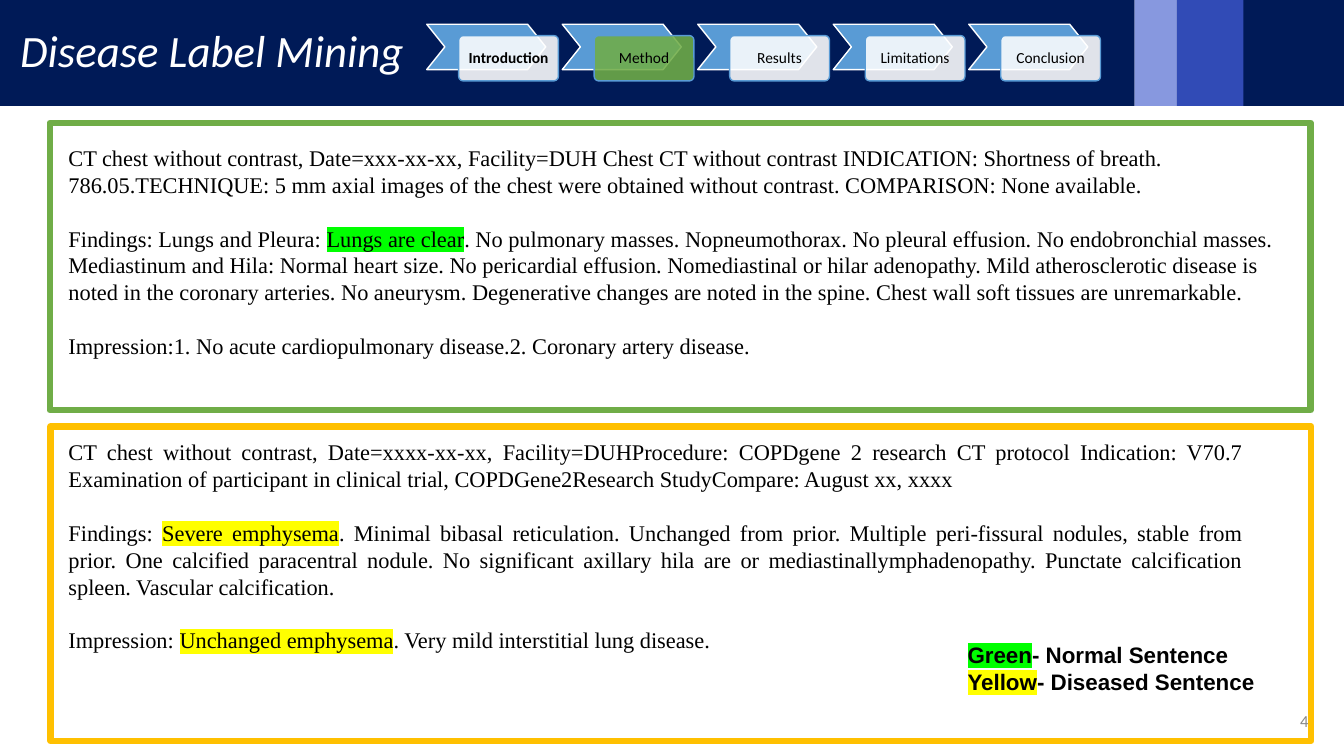
from dataclasses import dataclass
from typing import Optional

from lxml.etree import SubElement
from pptx import Presentation
from pptx.dml.color import RGBColor
from pptx.enum.shapes import MSO_SHAPE
from pptx.enum.text import MSO_ANCHOR, MSO_AUTO_SIZE, PP_ALIGN
from pptx.oxml.ns import qn
from pptx.util import Pt

NAVY = RGBColor(0x00, 0x1A, 0x57)
ROYAL = RGBColor(0x31, 0x4B, 0xB6)
LAVENDER = RGBColor(0x87, 0x98, 0xDF)
SKY = RGBColor(0x59, 0x9B, 0xD5)
LEAF = RGBColor(0x70, 0xAD, 0x47)
AMBER = RGBColor(0xFF, 0xC0, 0x00)
GREEN = RGBColor(0x00, 0xFF, 0x00)
YELLOW = RGBColor(0xFF, 0xFF, 0x00)
WHITE = RGBColor(0xFF, 0xFF, 0xFF)
BLACK = RGBColor(0x00, 0x00, 0x00)
GRAY = RGBColor(0x88, 0x88, 0x88)

BAND_HEIGHT = 75.6
STEP_LEFT, STEP_PITCH = 304.8, 96.8


@dataclass
class Box:
    left: float
    top: float
    width: float
    height: float

    def lengths(self):
        return Pt(self.left), Pt(self.top), Pt(self.width), Pt(self.height)


@dataclass
class Segment:
    text: str
    highlight: Optional[RGBColor] = None


@dataclass
class Style:
    font: str
    size: float
    color: RGBColor = BLACK
    bold: bool = False
    italic: bool = False


@dataclass
class Passage:
    box: Box
    paragraphs: list
    style: Style
    align: PP_ALIGN = PP_ALIGN.LEFT
    gap: float = 0


@dataclass
class Step:
    label: str
    fill: RGBColor = WHITE
    bold: bool = False


@dataclass
class Panel:
    box: Box
    color: RGBColor


REPORT = Style("Times New Roman", 16)
PASSAGES = [
    Passage(Box(725.8, 500.4, 216, 28.8), [[Segment("4")]],
            Style("Calibri", 12, GRAY), PP_ALIGN.RIGHT),
    Passage(Box(41.8, 99.4, 876.2, 181.4), [
        [Segment("CT chest without contrast, Date=xxx-xx-xx, Facility=DUH Chest CT without "
                 "contrast INDICATION: Shortness of breath. 786.05.TECHNIQUE: 5 mm axial images "
                 "of the chest were obtained without contrast. COMPARISON: None available.")],
        [Segment("Findings: Lungs and Pleura: "),
         Segment("Lungs are clear", GREEN),
         Segment(". No pulmonary masses. Nopneumothorax. No pleural effusion. No endobronchial "
                 "masses. Mediastinum and Hila: Normal heart size. No pericardial effusion. "
                 "Nomediastinal or hilar adenopathy. Mild atherosclerotic disease is noted in "
                 "the coronary arteries. No aneurysm. Degenerative changes are noted in the "
                 "spine. Chest wall soft tissues are unremarkable.")],
        [Segment("Impression:1. No acute cardiopulmonary disease.2. Coronary artery disease.")],
    ], REPORT, gap=19.2),
    Passage(Box(41.8, 309.6, 853.2, 162.7), [
        [Segment("CT chest without contrast, Date=xxxx-xx-xx, Facility=DUHProcedure: COPDgene 2 "
                 "research CT protocol Indication: V70.7 Examination of participant in clinical "
                 "trial, COPDGene2Research StudyCompare: August xx, xxxx")],
        [Segment("Findings: "),
         Segment("Severe emphysema", YELLOW),
         Segment(". Minimal bibasal reticulation. Unchanged from prior. Multiple peri-fissural "
                 "nodules, stable from prior. One calcified paracentral nodule. No significant "
                 "axillary hila are or mediastinallymphadenopathy. Punctate calcification "
                 "spleen. Vascular calcification.")],
        [Segment("Impression: "),
         Segment("Unchanged emphysema", YELLOW),
         Segment(". Very mild interstitial lung disease.")],
    ], REPORT, PP_ALIGN.JUSTIFY, 19.2),
    Passage(Box(684, 454.3, 234, 46.1), [
        [Segment("Green", GREEN), Segment("- Normal Sentence")],
        [Segment("Yellow", YELLOW), Segment("- Diseased Sentence")],
    ], Style("Arial", 16, bold=True)),
]
STEPS = [Step("Introduction", bold=True), Step("Method", LEAF), Step("Results"),
         Step("Limitations"), Step("Conclusion")]
BANDS = [Panel(Box(884.9, 0, 75.1, BAND_HEIGHT), NAVY),
         Panel(Box(840.2, 0, 48, BAND_HEIGHT), ROYAL),
         Panel(Box(810.4, 0, 30, BAND_HEIGHT), LAVENDER)]
FRAMES = [Panel(Box(35.5, 87.8, 900.7, 205.2), LEAF),
          Panel(Box(36, 304.6, 900.7, 224.6), AMBER)]


def add_run(paragraph, segment: Segment, style: Style) -> None:
    run = paragraph.add_run()
    run.text = segment.text
    font = run.font
    font.name, font.size = style.font, Pt(style.size)
    font.bold, font.italic = style.bold, style.italic
    font.color.rgb = style.color
    if segment.highlight is not None:
        properties = run._r.get_or_add_rPr()
        highlight = SubElement(properties, qn("a:highlight"))
        SubElement(highlight, qn("a:srgbClr"), val=str(segment.highlight))
        properties.find(qn("a:solidFill")).addnext(highlight)


def add_shape(slide, preset, box: Box, fill=None, line=None, weight: float = 1):
    """Add a shadowless shape; fill or line left as None is not drawn."""
    shape = slide.shapes.add_shape(preset, *box.lengths())
    shape.shadow.inherit = False
    if fill is None:
        shape.fill.background()
    else:
        shape.fill.solid()
        shape.fill.fore_color.rgb = fill
    if line is None:
        shape.line.fill.background()
    else:
        shape.line.color.rgb = line
        shape.line.width = Pt(weight)
    return shape


def format_title(title) -> None:
    title.left, title.top, title.width, title.height = Box(0, -0.5, 810.4, 76.1).lengths()
    title.fill.solid()
    title.fill.fore_color.rgb = NAVY
    frame = title.text_frame
    frame.auto_size = MSO_AUTO_SIZE.NONE
    frame.vertical_anchor = MSO_ANCHOR.MIDDLE
    frame.margin_left = Pt(14.4)
    heading = frame.paragraphs[0]
    heading.alignment = PP_ALIGN.LEFT
    heading.line_spacing = 0.9
    add_run(heading, Segment("Disease Label Mining"), Style("Calibri", 32, WHITE, italic=True))


def add_step(slide, step: Step, left: float) -> None:
    chevron = add_shape(slide, MSO_SHAPE.CHEVRON, Box(left, 17.3, 85, 32.4), SKY, WHITE)
    chevron.adjustments[0] = 0.4
    card = add_shape(slide, MSO_SHAPE.ROUNDED_RECTANGLE, Box(left + 22.8, 25.4, 71.3, 32.4),
                     step.fill, SKY)
    card.adjustments[0] = 0.1
    color = card.fill._xPr.find(qn("a:solidFill"))[0]
    SubElement(color, qn("a:alpha"), val="88000")
    frame = card.text_frame
    frame.word_wrap = True
    frame.vertical_anchor = MSO_ANCHOR.MIDDLE
    frame.margin_left = frame.margin_right = Pt(5)
    label = frame.paragraphs[0]
    label.alignment = PP_ALIGN.CENTER
    label.line_spacing = 0.9
    add_run(label, Segment(step.label), Style("Calibri", 11, bold=step.bold))


def add_passage(slide, passage: Passage) -> None:
    frame = slide.shapes.add_textbox(*passage.box.lengths()).text_frame
    frame.word_wrap = True
    if len(passage.paragraphs) == 1:
        frame.vertical_anchor = MSO_ANCHOR.MIDDLE
    for index, segments in enumerate(passage.paragraphs):
        paragraph = frame.add_paragraph() if index else frame.paragraphs[0]
        paragraph.alignment = passage.align
        if index and passage.gap:
            paragraph.space_before = Pt(passage.gap)
        for segment in segments:
            add_run(paragraph, segment, passage.style)


def main() -> None:
    presentation = Presentation()
    presentation.slide_width, presentation.slide_height = Pt(960), Pt(540)
    slide = presentation.slides.add_slide(presentation.slide_layouts[5])
    format_title(slide.shapes.title)
    for band in BANDS:
        add_shape(slide, MSO_SHAPE.RECTANGLE, band.box, fill=band.color)
    for index, step in enumerate(STEPS):
        add_step(slide, step, STEP_LEFT + index * STEP_PITCH)
    for passage in PASSAGES:
        add_passage(slide, passage)
    for frame in FRAMES:
        add_shape(slide, MSO_SHAPE.RECTANGLE, frame.box, line=frame.color, weight=4.5)
    presentation.save("out.pptx")


if __name__ == "__main__":
    main()
